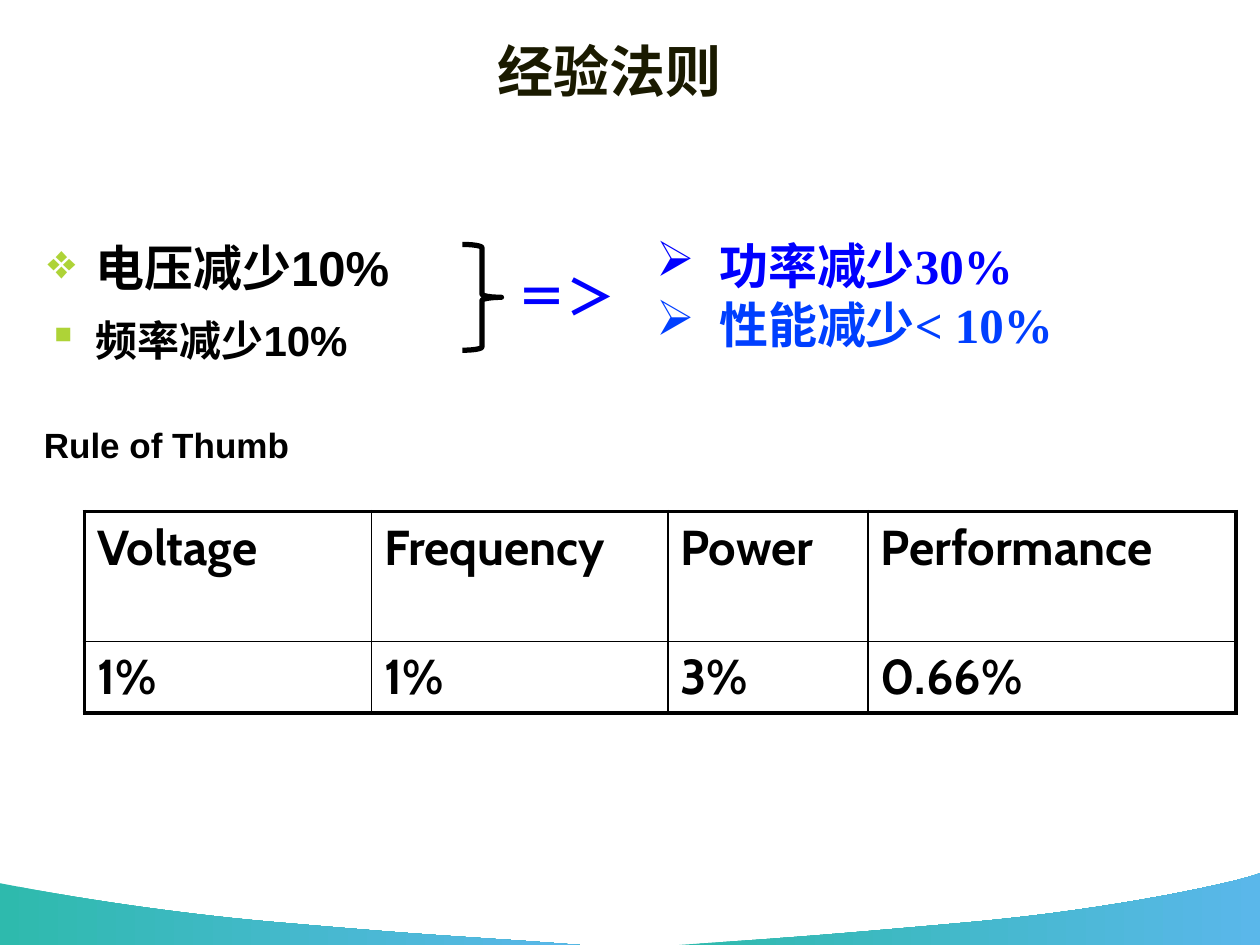
from dataclasses import dataclass

from lxml.etree import SubElement
from pptx import Presentation
from pptx.dml.color import RGBColor
from pptx.enum.shapes import MSO_SHAPE
from pptx.enum.text import MSO_ANCHOR, PP_ALIGN
from pptx.oxml.ns import qn
from pptx.util import Pt

PX = 9144  # EMU per px, 100 px to the inch


@dataclass(frozen=True)
class Theme:
    ink: str = "000000"
    title: str = "1A1A00"
    bullet: str = "AED337"
    blue: str = "0000FF"
    bright_blue: str = "003FFF"
    wave_start: str = "2EBAAD"
    wave_end: str = "5AB7EA"
    sans: str = "Arial"
    serif: str = "Times New Roman"
    table: str = "Cabin"
    chinese: str = "Noto Sans CJK SC"
    title_size: int = 32
    large: int = 28
    medium: int = 24
    small: int = 20
    thin: float = 1
    thick: float = 2.25


THEME = Theme()


@dataclass(frozen=True)
class Line:
    text: str
    size: int
    font: str
    color: str = THEME.ink
    bullet: str = ""
    bullet_color: str = ""
    margin: int = 0
    indent: int = 0
    spacing: float = 1.0
    before: float = 0
    align: PP_ALIGN = PP_ALIGN.LEFT


@dataclass(frozen=True)
class TextBlock:
    left: int
    top: int
    width: int
    height: int
    lines: tuple[Line, ...]
    anchor: MSO_ANCHOR = MSO_ANCHOR.TOP


@dataclass(frozen=True)
class Wave:
    start: tuple[int, int]
    curves: tuple[tuple[tuple[int, int], ...], ...]
    corner: tuple[int, int]


TEXT_BLOCKS = (
    TextBlock(92, 25, 783, 62, (
        Line("经验法则", THEME.title_size, THEME.sans, THEME.title, align=PP_ALIGN.CENTER),
    ), MSO_ANCHOR.MIDDLE),
    TextBlock(28, 174, 411, 145, (
        Line("电压减少10%", THEME.large, THEME.sans, bullet="❖", bullet_color=THEME.bullet,
             margin=38, indent=-38, spacing=1.2),
        Line("频率减少10%", THEME.medium, THEME.sans, bullet="▪", bullet_color=THEME.bullet,
             margin=38, indent=-38, spacing=1.2, before=4.8),
    )),
    TextBlock(25, 331, 373, 43, (Line("Rule of Thumb", THEME.small, THEME.sans),)),
    TextBlock(461, 182, 500, 104, (
        Line("功率减少30%", THEME.large, THEME.serif, THEME.blue, "➢", margin=100, indent=-50),
        Line("性能减少< 10%", THEME.large, THEME.serif, THEME.bright_blue, "➢",
             margin=100, indent=-50),
    )),
    TextBlock(401, 207, 134, 57, (Line("＝＞", THEME.large, THEME.chinese, THEME.blue),)),
)

WAVES = (
    Wave((460, 750), (((384, 744), (358, 744), (232, 733)),
                      ((106, 723), (1, 701), (0, 701))), (0, 750)),
    Wave((539, 750), (((614, 745), (646, 743), (769, 732)),
                      ((892, 721), (990, 698), (1000, 693))), (1000, 750)),
)

COLUMNS = (228, 235, 159, 292)
ROWS = (103, 57)
CELLS = (("Voltage", "Frequency", "Power", "Performance"), ("1%", "1%", "3%", "0.66%"))


def write_line(para, line: Line) -> None:
    formats = {"alignment": line.align, "line_spacing": line.spacing,
               "space_before": Pt(line.before)}
    for name, value in formats.items():
        setattr(para, name, value)
    if line.bullet:
        properties = para._p.get_or_add_pPr()
        properties.set("marL", str(line.margin * PX))
        properties.set("indent", str(line.indent * PX))
        if line.bullet_color:
            color = SubElement(properties, qn("a:buClr"))
            SubElement(color, qn("a:srgbClr"), val=line.bullet_color)
        SubElement(properties, qn("a:buChar"), char=line.bullet)
    span = para.add_run()
    span.text = line.text
    for name, value in {"name": line.font, "size": Pt(line.size), "bold": True}.items():
        setattr(span.font, name, value)
    span.font.color.rgb = RGBColor.from_string(line.color)
    SubElement(span._r.get_or_add_rPr(), qn("a:ea"), typeface=THEME.chinese)


def draw_text(page, block: TextBlock) -> None:
    box = page.shapes.add_textbox(block.left * PX, block.top * PX,
                                  block.width * PX, block.height * PX)
    frame = box.text_frame
    frame.word_wrap = True
    frame.vertical_anchor = block.anchor
    for index, line in enumerate(block.lines):
        write_line(frame.add_paragraph() if index else frame.paragraphs[0], line)


def curve_points(start: tuple, curve: tuple, steps: int = 24) -> list[tuple[float, float]]:
    """Points along a cubic curve, without its start."""
    points = []
    for step in range(1, steps + 1):
        t = step / steps
        weights = ((1 - t) ** 3, 3 * t * (1 - t) ** 2, 3 * t * t * (1 - t), t ** 3)
        points.append(tuple(sum(weight * point[axis] for weight, point
                                in zip(weights, (start, *curve))) for axis in (0, 1)))
    return points


def draw_wave(page, wave: Wave) -> None:
    builder = page.shapes.build_freeform(*(value * PX for value in wave.start))
    outline, start = [], wave.start
    for curve in wave.curves:
        outline += curve_points(start, curve)
        start = curve[-1]
    outline.append(wave.corner)
    builder.add_line_segments([(round(x * PX), round(y * PX)) for x, y in outline], close=True)
    shape = builder.convert_to_shape()
    shape.shadow.inherit = False
    shape.line.fill.background()
    shape.fill.gradient()
    shape.fill.gradient_angle = 0
    for stop, color in zip(shape.fill.gradient_stops, (THEME.wave_start, THEME.wave_end)):
        stop.color.rgb = RGBColor.from_string(color)


def draw_brace(page) -> None:
    brace = page.shapes.add_shape(MSO_SHAPE.RIGHT_BRACE, 367 * PX, 194 * PX, 31 * PX, 84 * PX)
    brace.shadow.inherit = False
    brace.adjustments[0] = 0.083
    brace.fill.background()
    brace.line.color.rgb = RGBColor.from_string(THEME.ink)
    brace.line.width = Pt(3)


def set_borders(cell, outer: dict[str, bool]) -> None:
    properties = cell._tc.get_or_add_tcPr()
    for position, (side, is_outer) in enumerate(outer.items()):
        width = Pt(THEME.thick if is_outer else THEME.thin)
        border = properties.makeelement(qn(f"a:{side}"), {"w": str(width)})
        properties.insert(position, border)
        fill = SubElement(border, qn("a:solidFill"))
        SubElement(fill, qn("a:srgbClr"), val=THEME.ink)


def draw_table(page) -> None:
    table = page.shapes.add_table(len(ROWS), len(COLUMNS), 67 * PX, 406 * PX,
                                  sum(COLUMNS) * PX, sum(ROWS) * PX).table
    table.first_row = table.horz_banding = False
    for column, width in zip(table.columns, COLUMNS):
        column.width = width * PX
    for row, height in zip(table.rows, ROWS):
        row.height = height * PX
    for r, texts in enumerate(CELLS):
        for c, text in enumerate(texts):
            cell = table.cell(r, c)
            cell.fill.background()
            write_line(cell.text_frame.paragraphs[0], Line(text, THEME.large, THEME.table))
            set_borders(cell, {"lnL": c == 0, "lnR": c == len(COLUMNS) - 1,
                               "lnT": r == 0, "lnB": r == len(ROWS) - 1})


def main() -> None:
    deck = Presentation()
    deck.slide_width, deck.slide_height = 1000 * PX, 750 * PX
    page = deck.slides.add_slide(deck.slide_layouts[6])
    # Footer waves
    for wave in WAVES:
        draw_wave(page, wave)
    # Rule and its effect
    draw_brace(page)
    for block in TEXT_BLOCKS:
        draw_text(page, block)
    # Figures
    draw_table(page)
    deck.save("out.pptx")


if __name__ == "__main__":
    main()
